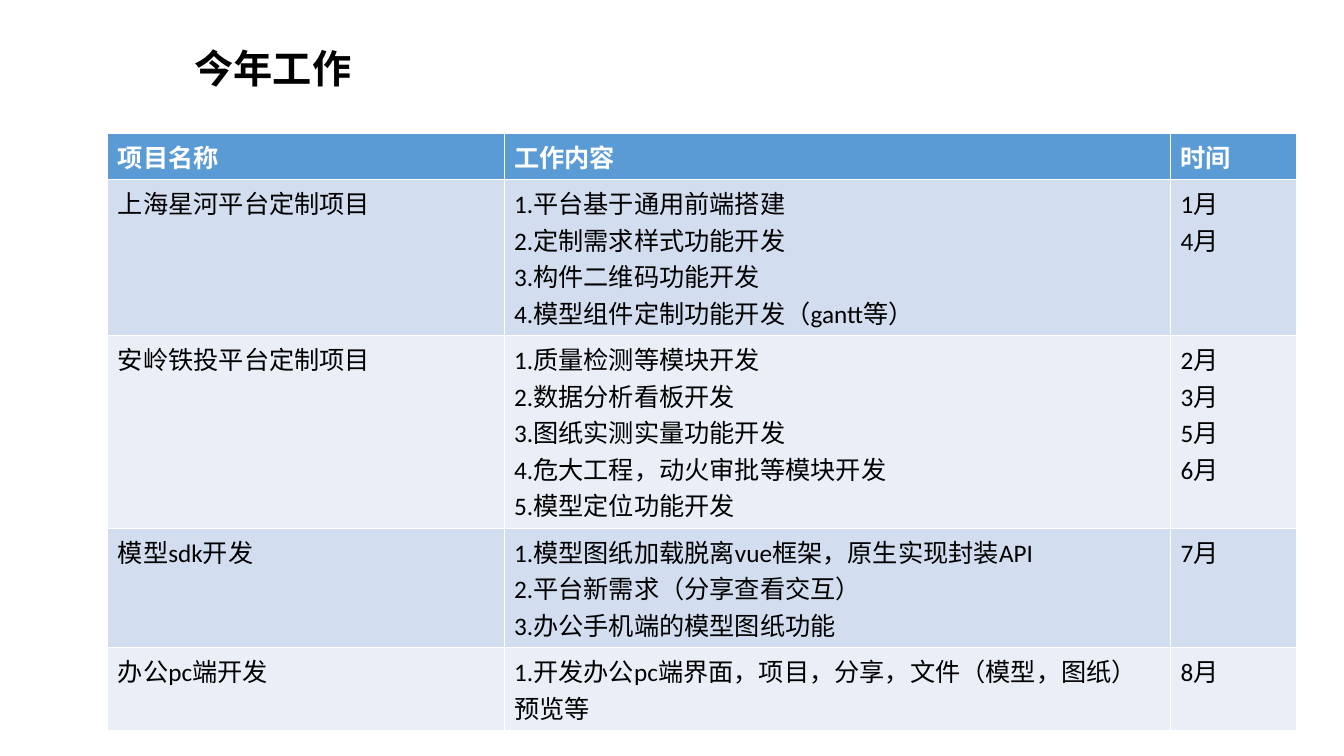
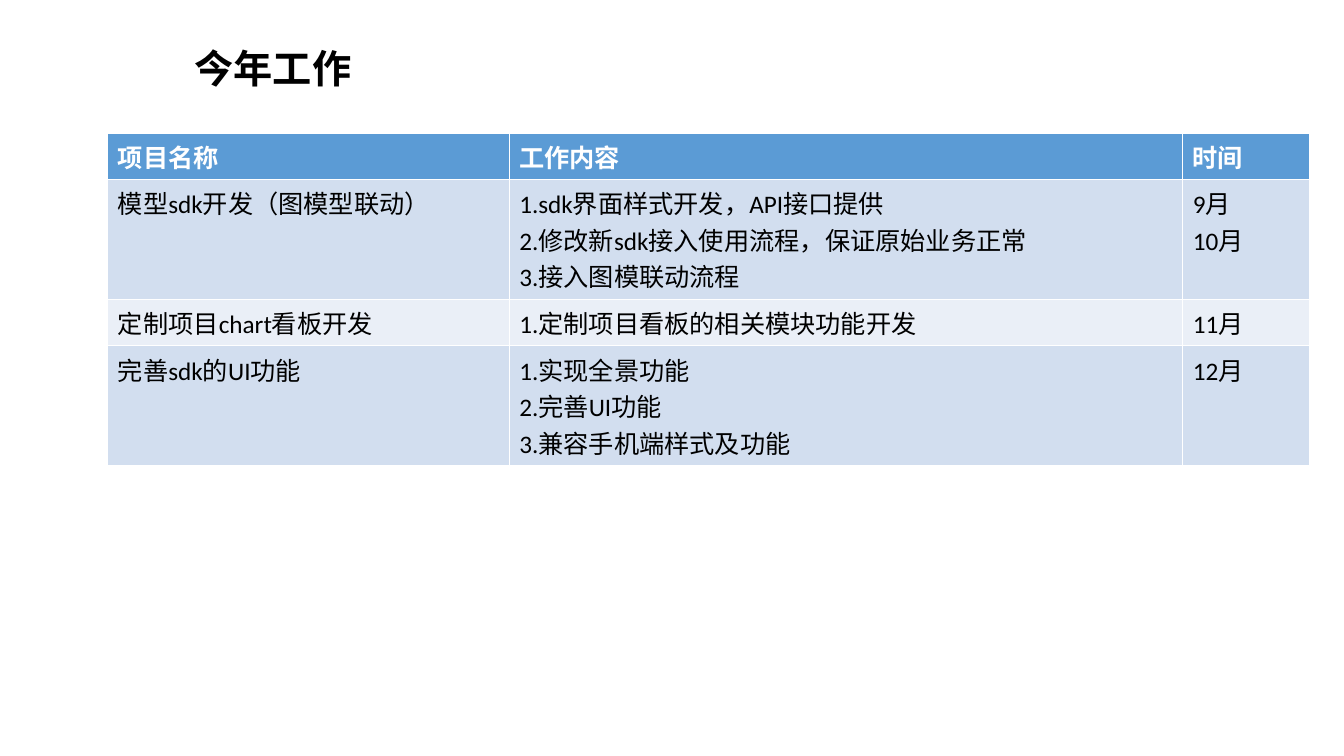
from lxml.etree import SubElement
from pptx import Presentation
from pptx.dml.color import RGBColor
from pptx.enum.text import MSO_ANCHOR, MSO_AUTO_SIZE, PP_ALIGN
from pptx.oxml.ns import qn
from pptx.util import Inches, Pt

COLORS = {
    "header": "5B9BD5",
    "band_dark": "D2DEEF",
    "band_light": "EAEFF7",
    "white": "FFFFFF",
    "black": "000000",
}
CHINESE_FONT = "Noto Sans CJK SC"
TITLE = "今年工作"
HEADER = ("项目名称", "工作内容", "时间")

# Each table: column widths, row heights, then rows of (project, tasks, months).
TABLES = [
    (
        (3.93, 6.61, 1.25),
        (0.4, 1.3, 1.6, 1, 0.7),
        [
            ("上海星河平台定制项目",
             "1.平台基于通用前端搭建\n2.定制需求样式功能开发\n"
             "3.构件二维码功能开发\n4.模型组件定制功能开发（gantt等）",
             "1月\n4月"),
            ("安岭铁投平台定制项目",
             "1.质量检测等模块开发\n2.数据分析看板开发\n3.图纸实测实量功能开发\n"
             "4.危大工程，动火审批等模块开发\n5.模型定位功能开发",
             "2月\n3月\n5月\n6月"),
            ("模型sdk开发",
             "1.模型图纸加载脱离vue框架，原生实现封装API\n"
             "2.平台新需求（分享查看交互）\n3.办公手机端的模型图纸功能",
             "7月"),
            ("办公pc端开发",
             "1.开发办公pc端界面，项目，分享，文件（模型，图纸）预览等",
             "8月"),
        ],
    ),
    (
        (3.98, 6.68, 1.26),
        (0.4, 1, 0.43, 0.43),
        [
            ("模型sdk开发（图模型联动）",
             "1.sdk界面样式开发，API接口提供\n"
             "2.修改新sdk接入使用流程，保证原始业务正常\n3.接入图模联动流程",
             "9月\n10月"),
            ("定制项目chart看板开发", "1.定制项目看板的相关模块功能开发", "11月"),
            ("完善sdk的UI功能",
             "1.实现全景功能\n2.完善UI功能\n3.兼容手机端样式及功能",
             "12月"),
        ],
    ),
]


def format_paragraph(paragraph, font_name, size, color, bold):
    font = paragraph.font
    font.name = font_name
    font.size = Pt(size)
    font.bold = bold
    font.color.rgb = RGBColor.from_string(COLORS[color])
    defaults = paragraph._p.pPr.find(qn("a:defRPr"))
    SubElement(defaults, qn("a:ea")).set("typeface", CHINESE_FONT)


presentation = Presentation()
presentation.slide_width = Inches(13.33)
presentation.slide_height = Inches(7.5)

for column_widths, row_heights, projects in TABLES:
    slide = presentation.slides.add_slide(presentation.slide_layouts.get_by_name("Title Only"))

    title = slide.shapes.title
    title.left, title.top = Inches(1.83), Inches(0.3)
    title.width, title.height = Inches(11.5), Inches(0.8)
    title.text_frame.text = TITLE
    title.text_frame.auto_size = MSO_AUTO_SIZE.NONE
    title.text_frame.vertical_anchor = MSO_ANCHOR.MIDDLE
    paragraph = title.text_frame.paragraphs[0]
    paragraph.alignment = PP_ALIGN.LEFT
    paragraph.line_spacing = 0.9
    format_paragraph(paragraph, CHINESE_FONT, 28, "black", True)

    rows = [HEADER, *projects]
    table = slide.shapes.add_table(
        len(rows), len(HEADER), Inches(1.07), Inches(1.32),
        Inches(sum(column_widths)), Inches(sum(row_heights)),
    ).table
    for column, width in zip(table.columns, column_widths):
        column.width = Inches(width)

    for row_index, (texts, height) in enumerate(zip(rows, row_heights)):
        table.rows[row_index].height = Inches(height)
        is_header = row_index == 0
        band = "header" if is_header else "band_dark" if row_index % 2 else "band_light"
        for cell, text in zip(table.rows[row_index].cells, texts):
            cell.fill.solid()
            cell.fill.fore_color.rgb = RGBColor.from_string(COLORS[band])
            cell.text_frame.text = text
            for paragraph in cell.text_frame.paragraphs:
                format_paragraph(paragraph, "Calibri", 18,
                                 "white" if is_header else "black", is_header)

presentation.save("out.pptx")
